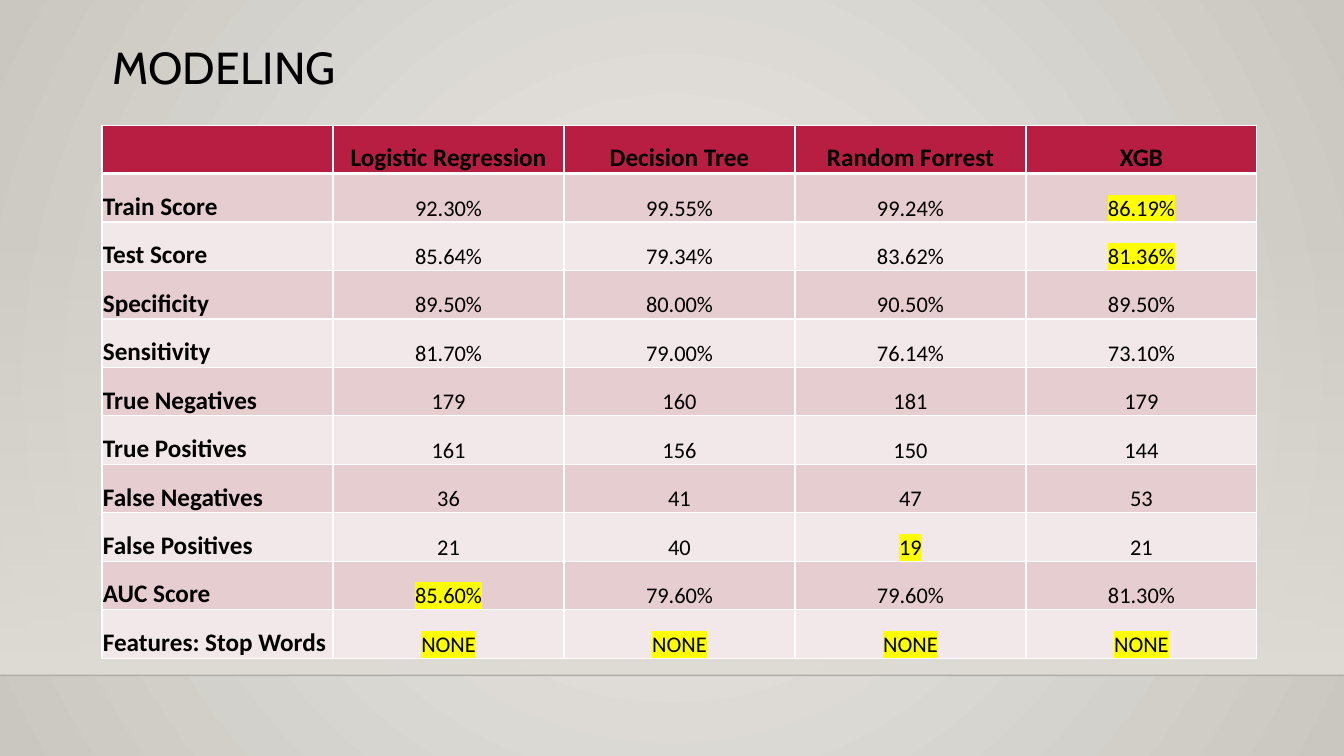
from dataclasses import dataclass

from lxml.etree import SubElement
from pptx import Presentation
from pptx.dml.color import RGBColor
from pptx.enum.shapes import MSO_CONNECTOR as Connector, MSO_SHAPE as Shape
from pptx.enum.text import MSO_ANCHOR as Anchor, MSO_AUTO_SIZE as AutoSize, PP_ALIGN as Align
from pptx.oxml import parse_xml
from pptx.oxml.ns import nsdecls, qn
from pptx.util import Pt

COLORS = {
    "black": "000000",
    "white": "FFFFFF",
    "header": "B71E42",
    "odd_row": "E6CDCF",
    "even_row": "F3E8E9",
    "highlight": "FFFF00",
    "center": "ECEAE7",
    "edge": "CAC7C1",
    "band": "DFDBD5",
    "floor": "000001",
}
SLIDE_WIDTH, SLIDE_HEIGHT = 960, 540
BAND_TOP, FLOOR_TOP = 159.12, 482.4
LEFT, TABLE_TOP = 72.9, 89.4
COLUMN_WIDTH, ROW_HEIGHT = 165, 34.63
MODELS = ("Logistic Regression", "Decision Tree", "Random Forrest", "XGB")


@dataclass(frozen=True)
class Metric:
    name: str
    values: tuple[str, ...]
    best: tuple[int, ...] = ()  # indexes of highlighted models


METRICS = (
    Metric("Train Score", ("92.30%", "99.55%", "99.24%", "86.19%"), (3,)),
    Metric("Test Score", ("85.64%", "79.34%", "83.62%", "81.36%"), (3,)),
    Metric("Specificity", ("89.50%", "80.00%", "90.50%", "89.50%")),
    Metric("Sensitivity", ("81.70%", "79.00%", "76.14%", "73.10%")),
    Metric("True Negatives", ("179", "160", "181", "179")),
    Metric("True Positives", ("161", "156", "150", "144")),
    Metric("False Negatives", ("36", "41", "47", "53")),
    Metric("False Positives", ("21", "40", "19", "21"), (2,)),
    Metric("AUC Score", ("85.60%", "79.60%", "79.60%", "81.30%"), (0,)),
    Metric("Features: Stop Words", ("NONE",) * 4, (0, 1, 2, 3)),
)


def gradient(stops: list[tuple[int, str, int]], direction: str):
    """Build a gradient from (position, color name, opacity) stops, in percent."""
    stop_xml = "".join(
        f'<a:gs pos="{position * 1000}"><a:srgbClr val="{COLORS[color]}">'
        f'<a:alpha val="{opacity * 1000}"/></a:srgbClr></a:gs>'
        for position, color, opacity in stops
    )
    return parse_xml(
        f'<a:gradFill {nsdecls("a")} rotWithShape="1"><a:gsLst>{stop_xml}</a:gsLst>{direction}</a:gradFill>'
    )


def write_text(frame, text: str, *, size: float, font: str = "Calibri", bold: bool = False,
               align: Align = Align.LEFT, spacing: float = 1.0, highlight: bool = False) -> None:
    paragraph = frame.paragraphs[0]
    paragraph.alignment = align
    paragraph.line_spacing = spacing
    run = paragraph.add_run()
    run.text = text
    run.font.size = Pt(size)
    run.font.bold = bold
    run.font.name = font
    run.font.color.rgb = RGBColor.from_string(COLORS["black"])
    if highlight:
        mark = parse_xml(
            f'<a:highlight {nsdecls("a")}><a:srgbClr val="{COLORS["highlight"]}"/></a:highlight>'
        )
        run.font.fill._xPr.find(qn("a:solidFill")).addnext(mark)


def style_cell(cell, fill: str, top: float, bottom: float) -> None:
    cell.vertical_anchor = Anchor.BOTTOM
    cell.margin_left = cell.margin_right = cell.margin_top = Pt(0.6)
    cell.margin_bottom = Pt(0)
    cell.fill.solid()
    cell.fill.fore_color.rgb = RGBColor.from_string(COLORS[fill])
    properties = cell._tc.get_or_add_tcPr()
    borders = {"lnL": 1, "lnR": 1, "lnT": top, "lnB": bottom}
    for index, (side, width) in enumerate(borders.items()):
        properties.insert(index, parse_xml(
            f'<a:{side} {nsdecls("a")} w="{Pt(width)}"><a:solidFill>'
            f'<a:srgbClr val="{COLORS["white"]}"/></a:solidFill></a:{side}>'
        ))


def add_backdrop(slide) -> None:
    # Radial background
    slide.background.fill.gradient()
    background = slide.background._cSld.bg.bgPr
    background.replace(background.find(qn("a:gradFill")), gradient(
        [(0, "center", 100), (100, "edge", 100)],
        '<a:path path="circle"><a:fillToRect l="50000" t="50000" r="50000" b="50000"/></a:path>',
    ))

    # Band that fades in towards the floor
    band = slide.shapes.add_shape(
        Shape.RECTANGLE, Pt(0), Pt(BAND_TOP), Pt(SLIDE_WIDTH), Pt(FLOOR_TOP - BAND_TOP))
    band.shadow.inherit = False
    band.line.fill.background()
    band.fill.gradient()
    properties = band._element.spPr
    properties.replace(properties.find(qn("a:gradFill")), gradient(
        [(0, "band", 0), (100, "band", 100)], '<a:lin ang="5400000" scaled="0"/>'))

    # Floor line
    floor = slide.shapes.add_connector(
        Connector.STRAIGHT, Pt(0), Pt(FLOOR_TOP), Pt(SLIDE_WIDTH), Pt(FLOOR_TOP))
    floor.line.width = Pt(1)
    floor.line.color.rgb = RGBColor.from_string(COLORS["floor"])
    properties = floor._element.spPr
    color = properties.find(".//" + qn("a:srgbClr"))
    SubElement(color, qn("a:alpha")).set("val", "20000")
    SubElement(properties, qn("a:effectLst"))


def add_score_table(slide) -> None:
    row_count, column_count = len(METRICS) + 1, len(MODELS) + 1
    table = slide.shapes.add_table(
        row_count, column_count, Pt(LEFT), Pt(TABLE_TOP),
        Pt(COLUMN_WIDTH * column_count), Pt(ROW_HEIGHT * row_count)).table
    for column in table.columns:
        column.width = Pt(COLUMN_WIDTH)
    for row_index, row in enumerate(table.rows):
        row.height = Pt(ROW_HEIGHT)
        fill = "header" if row_index == 0 else "odd_row" if row_index % 2 else "even_row"
        for cell in row.cells:
            style_cell(cell, fill, top=3 if row_index == 1 else 1, bottom=3 if row_index == 0 else 1)

    # Header row
    for column_index, model in enumerate(MODELS, 1):
        write_text(table.cell(0, column_index).text_frame, model, size=18, bold=True, align=Align.CENTER)

    # Metric rows
    for row_index, metric in enumerate(METRICS, 1):
        write_text(table.cell(row_index, 0).text_frame, metric.name, size=18, bold=True)
        for model_index, value in enumerate(metric.values):
            write_text(table.cell(row_index, model_index + 1).text_frame, value, size=16,
                       align=Align.CENTER, highlight=model_index in metric.best)


def place_title(slide) -> None:
    title = slide.shapes.title
    title.left, title.top, title.width, title.height = Pt(LEFT), Pt(28.8), Pt(756), Pt(82.8)
    frame = title.text_frame
    frame.word_wrap = True
    frame.auto_size = AutoSize.NONE
    frame.vertical_anchor = Anchor.TOP
    write_text(frame, "MODELING", size=32, font="Cabin", spacing=0.9)
    slide.shapes._spTree.append(title._element)  # in front of the table


def main() -> None:
    presentation = Presentation()
    presentation.slide_width, presentation.slide_height = Pt(SLIDE_WIDTH), Pt(SLIDE_HEIGHT)
    slide = presentation.slides.add_slide(presentation.slide_layouts[5])
    add_backdrop(slide)
    add_score_table(slide)
    place_title(slide)
    presentation.save("out.pptx")


if __name__ == "__main__":
    main()
